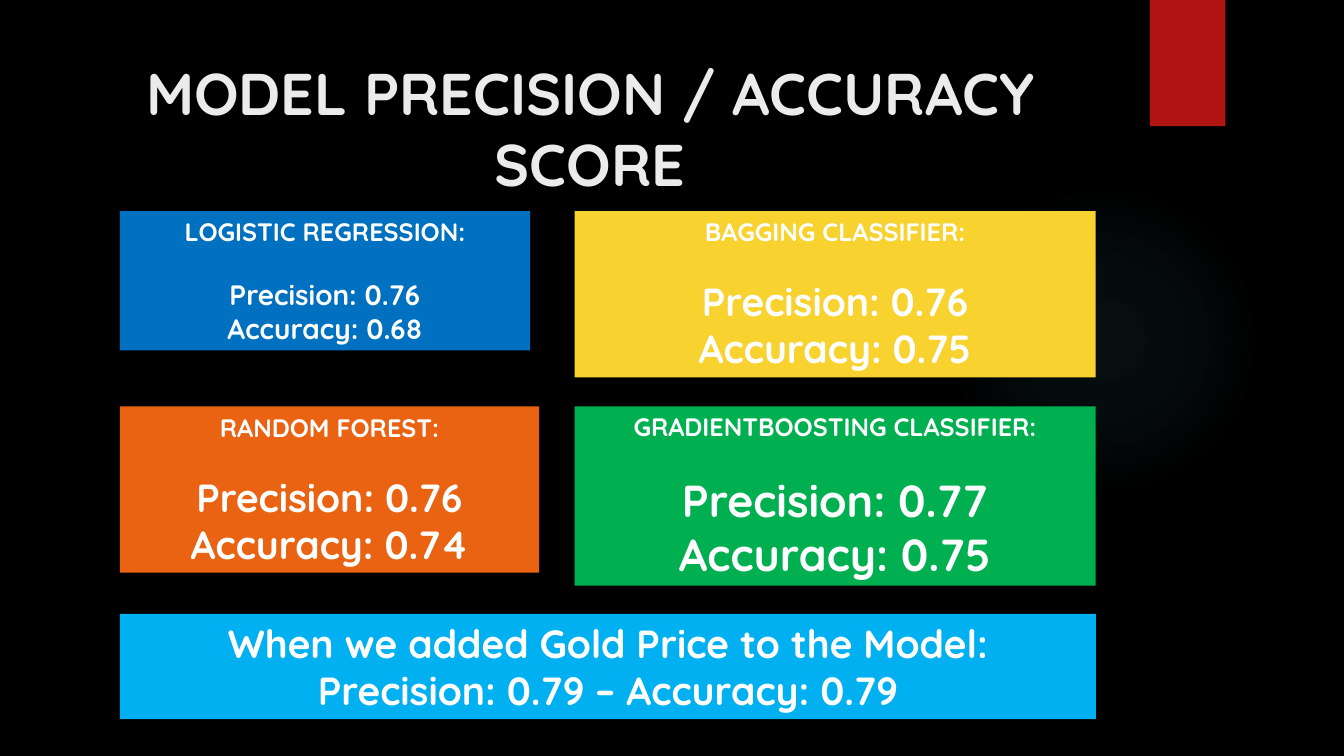
import dataclasses

import lxml.etree
import pptx
import pptx.dml.color
import pptx.enum.shapes
import pptx.enum.text
import pptx.util
from pptx.util import Cm

DRAWING = "http://schemas.openxmlformats.org/drawingml/2006/main"
SHAPES = pptx.enum.shapes.MSO_SHAPE


@dataclasses.dataclass(frozen=True)
class Theme:
    font: str = "Quicksand"
    background: str = "000000"
    title: str = "EBEBEB"
    text: str = "FFFFFF"
    ribbon: str = "B01513"
    glow: str = "50B9C1"
    logistic: str = "0070C0"
    forest: str = "EA6312"
    bagging: str = "F8D22F"
    boosting: str = "00B050"
    banner: str = "00B0F0"
    title_size: int = 42
    heading_size: int = 18
    small_size: int = 20
    medium_size: int = 28
    large_size: int = 32
    heading_gap: int = 22


THEME = Theme()
LEFT, RIGHT = 3.02, 14.48
TOP, MIDDLE, BOTTOM = 5.32, 10.24, 15.47

# heading, precision, accuracy, colour, score size, box (left, top, width, height in cm)
MODELS = [
    ("LOGISTIC REGRESSION:", "0.76", "0.68", THEME.logistic, THEME.small_size,
     (LEFT, TOP, 10.34, 3.51)),
    ("RANDOM FOREST:", "0.76", "0.74", THEME.forest, THEME.medium_size,
     (LEFT, MIDDLE, 10.57, 4.19)),
    ("BAGGING CLASSIFIER:", "0.76", "0.75", THEME.bagging, THEME.medium_size,
     (RIGHT, TOP, 13.13, 4.19)),
    ("GRADIENTBOOSTING CLASSIFIER:", "0.77", "0.75", THEME.boosting, THEME.large_size,
     (RIGHT, MIDDLE, 13.13, 4.52)),
]


def rgb(colour):
    return pptx.dml.color.RGBColor.from_string(colour)


def write(paragraph, text, size, colour=THEME.text, space_after=0):
    paragraph.alignment = pptx.enum.text.PP_ALIGN.CENTER
    paragraph.space_after = pptx.util.Pt(space_after)
    run = paragraph.add_run()
    run.text = text
    run.font.name = THEME.font
    run.font.size = pptx.util.Pt(size)
    run.font.bold = True
    run.font.color.rgb = rgb(colour)


def add_block(slide, box, colour, kind=SHAPES.RECTANGLE):
    shape = slide.shapes.add_shape(kind, *map(Cm, box))
    shape.shadow.inherit = False
    shape.fill.solid()
    shape.fill.fore_color.rgb = rgb(colour)
    shape.line.fill.background()
    return shape


def add_glow(slide, box):
    """Place a faint circle that fades out towards its rim."""
    shape = add_block(slide, box, THEME.glow, SHAPES.OVAL)
    stops = "".join(
        f'<a:gs pos="{position}000"><a:srgbClr val="{THEME.glow}">'
        f'<a:alpha val="{alpha}000"/></a:srgbClr></a:gs>'
        for position, alpha in ((0, 7), (36, 6), (69, 0)))
    gradient = lxml.etree.fromstring(
        f'<a:gradFill xmlns:a="{DRAWING}"><a:gsLst>{stops}</a:gsLst><a:path path="circle">'
        '<a:fillToRect l="50000" t="50000" r="50000" b="50000"/></a:path></a:gradFill>')
    properties = shape.element.spPr
    properties.replace(properties.find(f"{{{DRAWING}}}solidFill"), gradient)


def add_ribbon(slide, box):
    shape = add_block(slide, box, THEME.ribbon)
    effects = shape.element.spPr.find(f"{{{DRAWING}}}effectLst")
    effects.append(lxml.etree.fromstring(
        f'<a:outerShdw xmlns:a="{DRAWING}" blurRad="38100" dist="25400" dir="5400000">'
        '<a:srgbClr val="000000"><a:alpha val="45000"/></a:srgbClr></a:outerShdw>'))


def add_title(slide, box, text):
    title = slide.shapes.title
    title.left, title.top, title.width, title.height = map(Cm, box)
    frame = title.text_frame
    frame.word_wrap = True
    frame.auto_size = pptx.enum.text.MSO_AUTO_SIZE.NONE
    frame.vertical_anchor = pptx.enum.text.MSO_ANCHOR.MIDDLE
    write(frame.paragraphs[0], text, THEME.title_size, THEME.title)


def add_card(slide, box, colour, lines):
    """Place a coloured box; each line is (text, size, space after)."""
    frame = add_block(slide, box, colour).text_frame
    frame.word_wrap = True
    frame.auto_size = pptx.enum.text.MSO_AUTO_SIZE.SHAPE_TO_FIT_TEXT
    frame.vertical_anchor = pptx.enum.text.MSO_ANCHOR.MIDDLE
    for index, (text, size, gap) in enumerate(lines):
        paragraph = frame.add_paragraph() if index else frame.paragraphs[0]
        write(paragraph, text, size, space_after=gap)


def add_scores_slide(presentation):
    slide = presentation.slides.add_slide(presentation.slide_layouts[5])
    slide.background.fill.solid()
    slide.background.fill.fore_color.rgb = rgb(THEME.background)
    add_glow(slide, (23.9, 4.65, 7.82, 7.82))
    add_ribbon(slide, (28.98, 0, 1.9, 3.18))
    add_title(slide, (1.8, 1.27, 26.14, 3.89), "MODEL PRECISION / ACCURACY SCORE")
    for heading, precision, accuracy, colour, size, box in MODELS:
        add_card(slide, box, colour, [
            (heading, THEME.heading_size, THEME.heading_gap),
            (f"Precision: {precision}", size, 0),
            (f"Accuracy: {accuracy}", size, 0),
        ])
    add_card(slide, (LEFT, BOTTOM, 24.6, 2.65), THEME.banner, [
        ("When we added Gold Price to the Model:", THEME.medium_size, 0),
        ("Precision: 0.79 – Accuracy: 0.79", THEME.medium_size, 0),
    ])


def main():
    presentation = pptx.Presentation()
    presentation.slide_width = Cm(33.87)
    presentation.slide_height = Cm(19.05)
    add_scores_slide(presentation)
    presentation.save("out.pptx")


if __name__ == "__main__":
    main()
